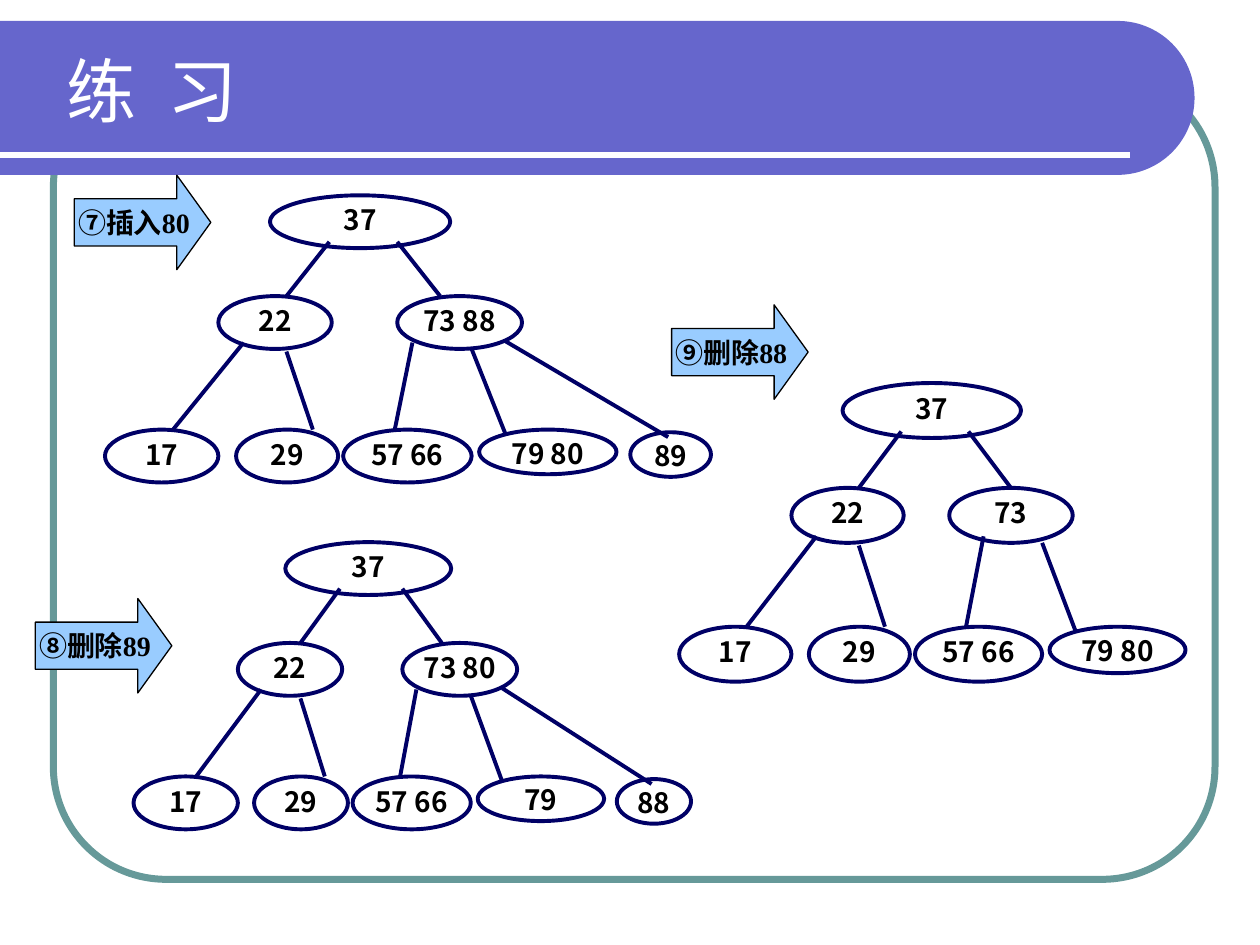
import math
from typing import NamedTuple

from lxml import etree
from pptx import Presentation
from pptx.dml.color import RGBColor
from pptx.enum import shapes, text
from pptx.oxml import ns
from pptx.util import Pt

NAVY = RGBColor(0x00, 0x00, 0x66)
TEAL = RGBColor(0x66, 0x99, 0x99)
VIOLET = RGBColor(0x66, 0x66, 0xCC)
SKY = RGBColor(0x99, 0xCC, 0xFF)
BLACK = RGBColor(0, 0, 0)
WHITE = RGBColor(0xFF, 0xFF, 0xFF)
SANS = "Noto Sans CJK SC"
SERIF = "Times New Roman"


class Node(NamedTuple):
    x: float
    y: float
    w: float
    h: float


class Edge(NamedTuple):
    x1: float
    y1: float
    x2: float
    y2: float


class Tree(NamedTuple):
    x: float
    y: float
    sx: float
    sy: float
    labels: list[str]
    right_shift: float = 0


class Step(NamedTuple):
    x: float
    y: float
    label: str


# Tree layout in points, relative to the tree's top left corner
RIGHT_CHILD = 2
NODES = [
    Node(94.3, 0, 103, 30.2),
    Node(64.8, 57.6, 64.8, 30.2),
    Node(167, 57.6, 71.3, 30.2),
    Node(0, 133.9, 64.8, 30.2),
    Node(74.9, 133.9, 58.3, 30.2),
    Node(136.1, 133.9, 73.4, 30.2),
    Node(213.8, 133.9, 78.5, 25.5),
    Node(300.2, 135.4, 46.1, 25.5),
]
# One edge into each node below the root, in the same order
EDGES = [
    Edge(128.2, 26.6, 103.7, 57.6),
    Edge(167, 26.6, 191.5, 57.6),
    Edge(79.2, 84.2, 38.9, 133.9),
    Edge(103.7, 89.3, 118.8, 133.9),
    Edge(175.7, 84.2, 165.6, 133.9),
    Edge(209.5, 87.8, 229, 136.8),
    Edge(229, 83.5, 321.8, 138.2),
]
TREES = [
    Tree(60, 111.6, 1, 1, ["37", "22", "73 88", "17", "29", "57 66", "79 80", "89"]),
    Tree(76.3, 309.8, 0.92, 1, ["37", "22", "73 80", "17", "29", "57 66", "79", "88"]),
    Tree(388.1, 218.9, 0.99, 1.04, ["37", "22", "73", "17", "29", "57 66", "79 80"], -11),
]
STEPS = [
    Step(42.5, 100.1, "⑦插入80"),
    Step(20.2, 342, "⑧删除89"),
    Step(383.8, 174.2, "⑨删除88"),
]

prs = Presentation()
prs.slide_width, prs.slide_height = Pt(720), Pt(540)
s = prs.slides.add_slide(prs.slide_layouts[6])


def add_shape(kind: shapes.MSO_SHAPE, x: float, y: float, w: float, h: float,
              line: RGBColor, width: float, fill: RGBColor | None = None):
    sp = s.shapes.add_shape(kind, Pt(x), Pt(y), Pt(w), Pt(h))
    sp.shadow.inherit = False
    sp.line.color.rgb = line
    sp.line.width = Pt(width)
    if fill is None:
        sp.fill.background()
    else:
        sp.fill.solid()
        sp.fill.fore_color.rgb = fill
    return sp


def add_line(edge: Edge, color: RGBColor, width: float) -> None:
    line = s.shapes.add_connector(shapes.MSO_CONNECTOR.STRAIGHT, *map(Pt, edge))
    line.line.color.rgb = color
    line.line.width = Pt(width)
    etree.SubElement(line._element.spPr, ns.qn("a:effectLst"))


def set_text(sp, label: str, size: float, font: str, color: RGBColor,
             bold: bool, align: text.PP_ALIGN) -> None:
    sp.text_frame.text = label
    p = sp.text_frame.paragraphs[0]
    p.alignment = align
    r = p.runs[0]
    r.font.size, r.font.name, r.font.bold = Pt(size), font, bold
    r.font.color.rgb = color


def draw_tree(tree: Tree) -> None:
    for edge in EDGES[:len(tree.labels) - 1]:
        add_line(Edge(tree.x + edge.x1 * tree.sx, tree.y + edge.y1 * tree.sy,
                      tree.x + edge.x2 * tree.sx, tree.y + edge.y2 * tree.sy), NAVY, 2.25)
    for i, (node, label) in enumerate(zip(NODES, tree.labels)):
        shift = tree.right_shift if i == RIGHT_CHILD else 0
        sp = add_shape(shapes.MSO_SHAPE.OVAL, tree.x + node.x * tree.sx + shift,
                       tree.y + node.y * tree.sy, node.w * tree.sx, node.h * tree.sy, NAVY, 2.25)
        tf = sp.text_frame
        tf.margin_left = tf.margin_right = tf.margin_top = tf.margin_bottom = 0
        tf.vertical_anchor = text.MSO_ANCHOR.TOP
        set_text(sp, label, 16, SANS, BLACK, True, text.PP_ALIGN.CENTER)


def draw_step(step: Step) -> None:
    sp = add_shape(shapes.MSO_SHAPE.RIGHT_ARROW, step.x, step.y, 78, 54, BLACK, 0.75, SKY)
    sp.adjustments[0], sp.adjustments[1] = 0.5, 0.36
    sp.text_frame.word_wrap = False
    sp.text_frame.vertical_anchor = text.MSO_ANCHOR.MIDDLE
    set_text(sp, step.label, 16, SERIF, BLACK, True, text.PP_ALIGN.CENTER)


# Frame
frame = add_shape(shapes.MSO_SHAPE.ROUNDED_RECTANGLE, 30.5, 42.5, 663.8, 460, TEAL, 4)
frame.adjustments[0] = 0.14

# Title band with a round right end
BAND_TOP, BAND_RADIUS, BAND_CENTER = 12, 44, 638.6
arc = [(BAND_CENTER + BAND_RADIUS * math.sin(a), BAND_TOP + BAND_RADIUS * (1 - math.cos(a)))
       for a in (math.pi * i / 60 for i in range(61))]
outline = s.shapes.build_freeform(0, Pt(BAND_TOP))
outline.add_line_segments([(Pt(x), Pt(y)) for x, y in arc]
                          + [(0, Pt(BAND_TOP + 2 * BAND_RADIUS))], close=True)
band = outline.convert_to_shape()
band.shadow.inherit = False
band.fill.solid()
band.fill.fore_color.rgb = VIOLET
band.line.fill.background()
add_line(Edge(0, 88.6, 645.8, 88.6), WHITE, 3)

# Trees and step arrows
for tree in TREES:
    draw_tree(tree)
for step in STEPS:
    draw_step(step)

# Title
title = s.shapes.add_textbox(Pt(31), Pt(15.1), Pt(631.4), Pt(72))
title.text_frame.word_wrap = True
title.text_frame.vertical_anchor = text.MSO_ANCHOR.MIDDLE
set_text(title, "练  习", 40, SERIF, WHITE, False, text.PP_ALIGN.LEFT)

prs.save("out.pptx")
